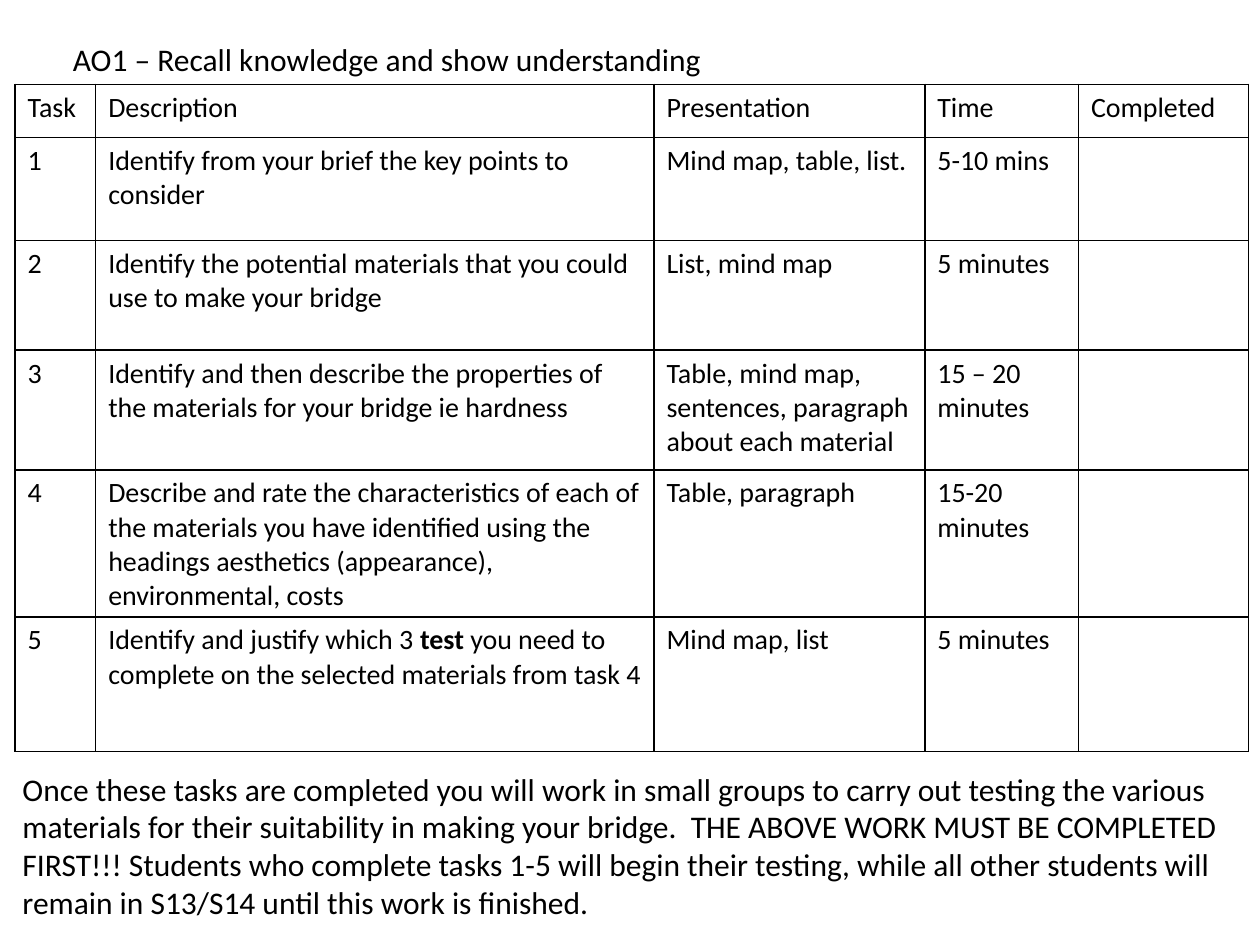
from dataclasses import dataclass

from lxml.etree import SubElement
from pptx import Presentation
from pptx.dml.color import RGBColor
from pptx.enum.text import MSO_AUTO_SIZE
from pptx.oxml import parse_xml
from pptx.oxml.ns import nsdecls, qn
from pptx.util import Inches, Pt


@dataclass(frozen=True)
class Theme:
    """Colours, font and type sizes of the slide."""
    font: str = "Calibri"
    ink: str = "000000"
    paper: str = "FFFFFF"
    body_size: int = 18
    table_size: int = 16
    border_width: int = 1


@dataclass(frozen=True)
class Box:
    """A region, in percent of the slide's width and height."""
    left: float
    top: float
    width: float
    height: float


THEME = Theme()
SLIDE_WIDTH, SLIDE_HEIGHT = Inches(10), Inches(7.5)

HEADING = "AO1 – Recall knowledge and show understanding"
CLOSING_NOTE = (
    "Once these tasks are completed you will work in small groups to carry out "
    "testing the various materials for their suitability in making your bridge.  "
    "THE ABOVE WORK MUST BE COMPLETED FIRST!!! Students who complete tasks 1-5 "
    "will begin their testing, while all other students will remain in S13/S14 "
    "until this work is finished."
)
COLUMN_SHARES = (6.4, 44.3, 21.5, 12.2, 13.5)
ROW_SHARES = (5.6, 10.93, 11.6, 12.67, 15.2, 14.27)
HEADERS = ("Task", "Description", "Presentation", "Time", "Completed")
TASKS = (
    ("Identify from your brief the key points to consider",
     "Mind map, table, list.", "5-10 mins"),
    ("Identify the potential materials that you could use to make your bridge",
     "List, mind map", "5 minutes"),
    ("Identify and then describe the properties of the materials for your "
     "bridge ie hardness",
     "Table, mind map, sentences, paragraph about each material",
     "15 – 20 minutes"),
    ("Describe and rate the characteristics of each of the materials you have "
     "identified using the headings aesthetics (appearance), environmental, costs",
     "Table, paragraph", "15-20 minutes"),
    ("Identify and justify which 3 *test* you need to complete on the selected "
     "materials from task 4",
     "Mind map, list", "5 minutes"),
)


def across(share):
    """Turn a percentage of the slide's width into a length."""
    return round(SLIDE_WIDTH * share / 100)


def down(share):
    """Turn a percentage of the slide's height into a length."""
    return round(SLIDE_HEIGHT * share / 100)


def frame(box):
    """Return left, top, width and height of a box as lengths."""
    return across(box.left), down(box.top), across(box.width), down(box.height)


def write_text(paragraph, text, *, size, color=THEME.ink, font=THEME.font):
    """Write text into a paragraph; words between asterisks become bold."""
    for index, part in enumerate(text.split("*")):
        if part:
            run = paragraph.add_run()
            run.text = part
            run.font.name = font
            run.font.size = Pt(size)
            run.font.bold = index % 2 == 1
            run.font.color.rgb = RGBColor.from_string(color)


def add_text_block(slide, box, text):
    """Place a wrapped block of body text in the box."""
    text_frame = slide.shapes.add_textbox(*frame(box)).text_frame
    text_frame.word_wrap = True
    text_frame.auto_size = MSO_AUTO_SIZE.SHAPE_TO_FIT_TEXT
    write_text(text_frame.paragraphs[0], text, size=THEME.body_size)


def style_cell(cell):
    """Give a cell a plain fill and a thin line on all four sides."""
    cell.fill.solid()
    cell.fill.fore_color.rgb = RGBColor.from_string(THEME.paper)
    properties = cell._tc.get_or_add_tcPr()
    for position, side in enumerate(("lnL", "lnR", "lnT", "lnB")):
        line = parse_xml(f'<a:{side} {nsdecls("a")} w="{Pt(THEME.border_width)}"/>')
        fill = SubElement(line, qn("a:solidFill"))
        SubElement(fill, qn("a:srgbClr"), val=THEME.ink)
        properties.insert(position, line)


def add_task_table(slide, box):
    """Place the table of tasks in the box."""
    rows = [HEADERS] + [
        (str(number), *task, "") for number, task in enumerate(TASKS, start=1)
    ]
    table = slide.shapes.add_table(len(rows), len(HEADERS), *frame(box)).table
    table.first_row = table.horz_banding = False
    for column, share in zip(table.columns, COLUMN_SHARES):
        column.width = across(share)
    for row, share, texts in zip(table.rows, ROW_SHARES, rows):
        row.height = down(share)
        for cell, text in zip(row.cells, texts):
            style_cell(cell)
            write_text(cell.text_frame.paragraphs[0], text, size=THEME.table_size)


def build_task_slide(presentation):
    """Add the slide with heading, task table and closing note."""
    slide = presentation.slides.add_slide(presentation.slide_layouts[6])
    add_text_block(slide, Box(4.8, 3.6, 91, 5.33), HEADING)
    add_task_table(
        slide, Box(1.2, 8.93, sum(COLUMN_SHARES), sum(ROW_SHARES)))
    add_text_block(slide, Box(0.8, 80.8, 97.9, 17.47), CLOSING_NOTE)


def main():
    """Build and save the presentation."""
    presentation = Presentation()
    presentation.slide_width = SLIDE_WIDTH
    presentation.slide_height = SLIDE_HEIGHT
    build_task_slide(presentation)
    presentation.save("out.pptx")


main()
